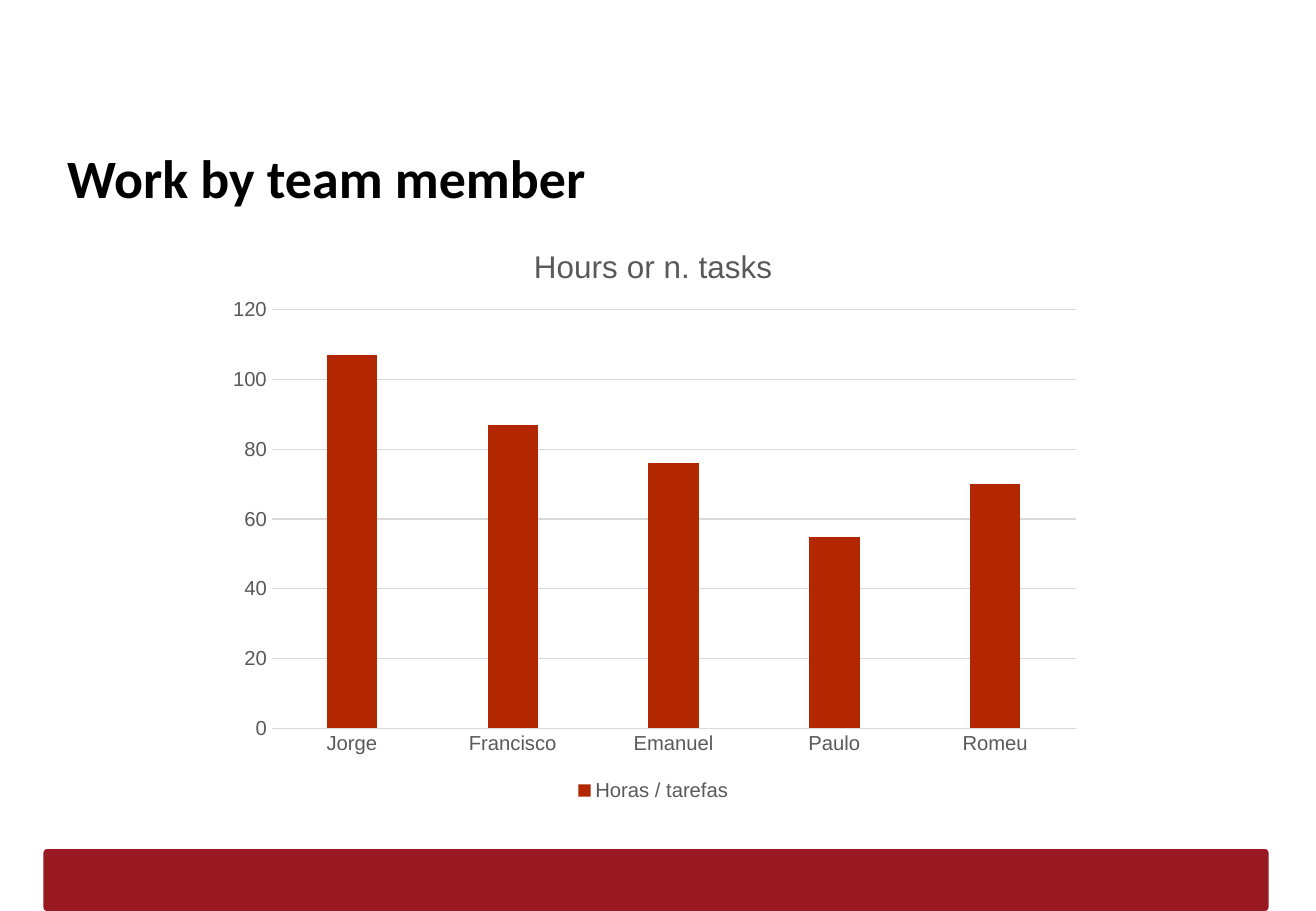
import pptx
import pptx.util
import pptx.chart.data
import pptx.dml.color
import pptx.enum.chart
import pptx.enum.shapes
import pptx.enum.text
import pptx.oxml
import pptx.oxml.ns

WIDE, HIGH = 10.83, 7.5
COLORS = {"band": "9A1A24", "title": "000000", "bar": "B22600",
          "label": "595959", "grid": "D9D9D9"}
HOURS = {"Jorge": 107, "Francisco": 87, "Emanuel": 76, "Paulo": 55, "Romeu": 70}
PLOT = {"x": 0.065, "y": 0.15, "w": 0.916, "h": 0.717}


def color(name):
    return pptx.dml.color.RGBColor.from_string(COLORS[name])


def place(box):
    """Turn shares of the slide's size into lengths."""
    return [pptx.util.Inches(share * side)
            for share, side in zip(box, (WIDE, HIGH) * 2)]


def style(font, name, size, tint, bold=False):
    font.name, font.size, font.bold = name, pptx.util.Pt(size), bold
    font.color.rgb = color(tint)


def rule(line):
    line.color.rgb = color("grid")
    line.width = pptx.util.Pt(0.75)


def add_band(slide, box):
    band = slide.shapes.add_shape(
        pptx.enum.shapes.MSO_SHAPE.ROUNDED_RECTANGLE, *place(box))
    band.adjustments[0] = 0.06
    band.shadow.inherit = False
    band.fill.solid()
    band.fill.fore_color.rgb = color("band")
    band.line.fill.background()


def add_title(slide, box):
    frame = slide.shapes.add_textbox(*place(box)).text_frame
    frame.word_wrap = True
    frame.vertical_anchor = pptx.enum.text.MSO_ANCHOR.TOP
    frame.margin_left = frame.margin_right = pptx.util.Inches(0.1)
    frame.margin_top = frame.margin_bottom = pptx.util.Inches(0.1)
    frame.text = "Work by team member"
    style(frame.paragraphs[0].runs[0].font, "Calibri", 32, "title", True)


def fix_plot(chart):
    """Pin the inner plot area to its shares of the chart."""
    area = chart._chartSpace.chart.plotArea
    for old in area.findall(pptx.oxml.ns.qn("c:layout")):
        area.remove(old)
    sizes = "".join(f'<c:{key} val="{share}"/>' for key, share in PLOT.items())
    area.insert(0, pptx.oxml.parse_xml(
        f'<c:layout {pptx.oxml.ns.nsdecls("c")}><c:manualLayout>'
        '<c:layoutTarget val="inner"/><c:xMode val="edge"/><c:yMode val="edge"/>'
        f'{sizes}</c:manualLayout></c:layout>'))


def add_hours(slide, box):
    data = pptx.chart.data.CategoryChartData()
    data.categories = list(HOURS)
    data.add_series("Horas / tarefas", list(HOURS.values()))
    chart = slide.shapes.add_chart(
        pptx.enum.chart.XL_CHART_TYPE.COLUMN_CLUSTERED, *place(box), data).chart
    style(chart.font, "Arial", 12, "label")

    chart.has_title = True
    head = chart.chart_title.text_frame
    head.text = "Hours or n. tasks"
    style(head.paragraphs[0].runs[0].font, "Arial", 18.6, "label")
    chart.has_legend = True
    chart.legend.position = pptx.enum.chart.XL_LEGEND_POSITION.BOTTOM
    chart.legend.include_in_layout = False
    style(chart.legend.font, "Arial", 12, "label")

    for axis in (chart.category_axis, chart.value_axis):
        axis.major_tick_mark = pptx.enum.chart.XL_TICK_MARK.NONE
        axis.minor_tick_mark = pptx.enum.chart.XL_TICK_MARK.NONE
        style(axis.tick_labels.font, "Arial", 12, "label")
    rule(chart.category_axis.format.line)
    scale = chart.value_axis
    scale.minimum_scale, scale.maximum_scale, scale.major_unit = 0, 120, 20
    scale.format.line.fill.background()
    rule(scale.major_gridlines.format.line)

    plot = chart.plots[0]
    plot.gap_width, plot.overlap = 219, -27
    plot.vary_by_categories = False
    fill = plot.series[0].format.fill
    fill.solid()
    fill.fore_color.rgb = color("bar")
    fix_plot(chart)


def main():
    deck = pptx.Presentation()
    deck.slide_width = pptx.util.Inches(WIDE)
    deck.slide_height = pptx.util.Inches(HIGH)
    slide = deck.slides.add_slide(deck.slide_layouts[6])
    add_band(slide, (0.033, 0.932, 0.931, 0.068))
    add_title(slide, (0.042, 0.145, 0.913, 0.084))
    add_hours(slide, (0.163, 0.244, 0.667, 0.641))
    deck.save("out.pptx")


if __name__ == "__main__":
    main()
